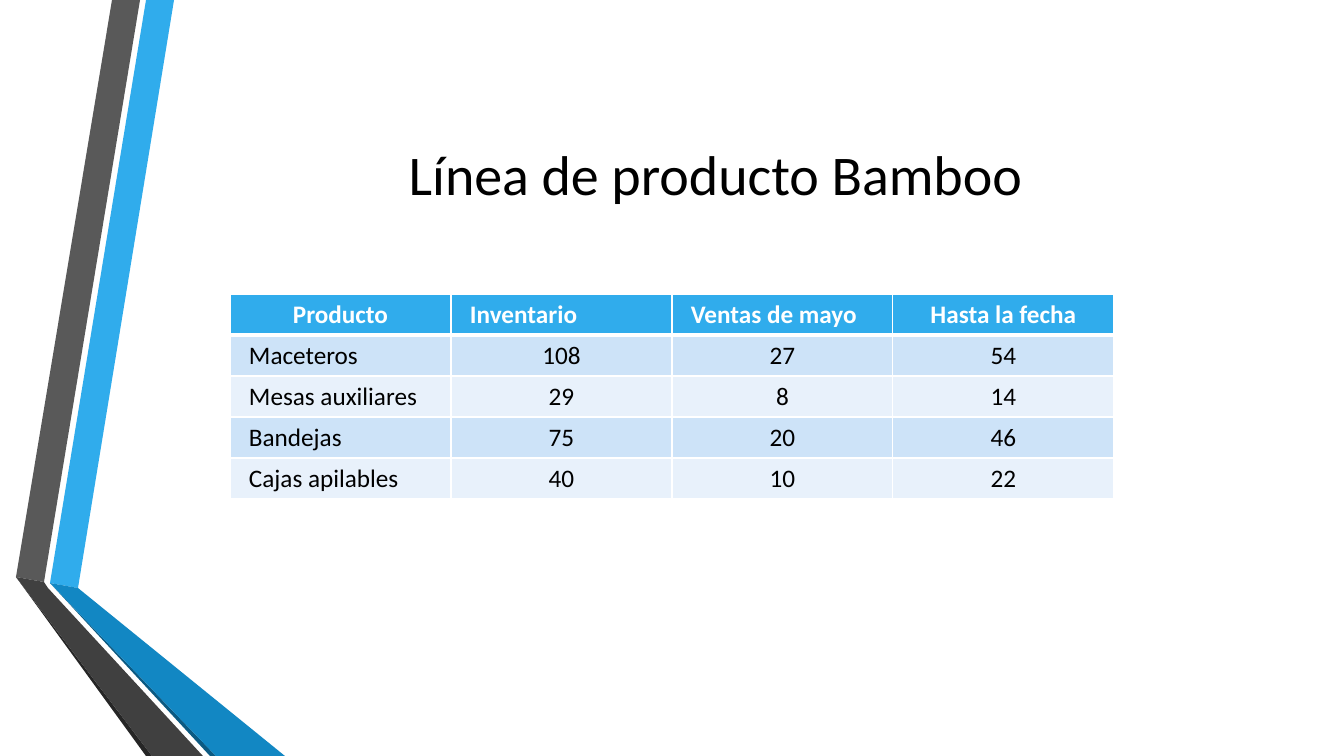
from lxml.etree import SubElement
from pptx import Presentation
from pptx.dml.color import RGBColor
from pptx.enum.text import MSO_ANCHOR, PP_ALIGN
from pptx.oxml.ns import qn
from pptx.util import Emu, Pt

TITLE = "Línea de producto Bamboo"
HEADER = ("Producto", "Inventario", "Ventas de mayo", "Hasta la fecha")
PRODUCTS = [
    ("Maceteros", 108, 27, 54),
    ("Mesas auxiliares", 29, 8, 14),
    ("Bandejas", 75, 20, 46),
    ("Cajas apilables", 40, 10, 22),
]
LEFT_ALIGNED_HEADERS = ("Inventario", "Ventas de mayo")

THEME = {
    "font": "Calibri", "title_size": 40, "table_size": 18,
    "text": "000000", "header_text": "FFFFFF", "header": "30ACEC",
    "bands": ("CDE3F8", "E8F1FB"), "rule": "FFFFFF",
    "blue": "30ACEC", "blue_fold": "1287C3", "blue_edge": "0C5A82",
    "grey": "595959", "grey_fold": "404040", "grey_edge": "262626",
}

# Ribbon pieces from back to front: theme colour and corners in px
RIBBONS = [
    ("blue", [(50, 583), (78, 588), (174, 0), (146, 0)]),
    ("grey", [(140, 0), (112, 0), (16, 577), (44, 582)]),
    ("grey_edge", [(16, 577), (146, 756), (152, 756)]),
    ("blue_edge", [(50, 583), (210, 756), (216, 756)]),
    ("blue_fold", [(50, 583), (216, 756), (285, 756), (78, 588)]),
    ("grey_fold", [(203, 756), (48, 588), (44, 582), (16, 577), (152, 756)]),
]

SLIDE_SIZE = (1344, 756)
TITLE_BOX = (163, 76, 1105, 194)
TABLE_LEFT, TABLE_TOP, COLUMN_WIDTH, ROW_HEIGHT = 230, 294, 221, 41
CELL_PAD_X, CELL_PAD_Y = 19, 5
THIN_RULE, HEADER_RULE = 1, 3
EMU_PER_PX = 914400 / 100.8


def px(length):
    return Emu(round(length * EMU_PER_PX))


def rgb(key):
    return RGBColor.from_string(THEME.get(key, key))


def style_text(frame, size, color, align, bold=False):
    frame.vertical_anchor = MSO_ANCHOR.MIDDLE
    paragraph = frame.paragraphs[0]
    paragraph.alignment = align
    for run in paragraph.runs:
        run.font.name = THEME["font"]
        run.font.size = Pt(THEME[size])
        run.font.bold = bold
        run.font.color.rgb = rgb(color)


def add_ribbon(slide, color, corners):
    builder = slide.shapes.build_freeform(*corners[0], scale=EMU_PER_PX)
    builder.add_line_segments(corners[1:], close=True)
    ribbon = builder.convert_to_shape()
    ribbon.shadow.inherit = False
    ribbon.fill.solid()
    ribbon.fill.fore_color.rgb = rgb(color)
    ribbon.line.fill.background()


def add_title(slide):
    title = slide.shapes.add_textbox(*map(px, TITLE_BOX)).text_frame
    title.word_wrap = True
    title.text = TITLE
    style_text(title, "title_size", "text", PP_ALIGN.CENTER)


def set_borders(cell, top, bottom):
    """Rule all four sides; must run before the cell's fill is set."""
    properties = cell._tc.get_or_add_tcPr()
    for side, width in zip("LRTB", (THIN_RULE, THIN_RULE, top, bottom)):
        line = SubElement(properties, qn(f"a:ln{side}"), w=str(Pt(width)))
        fill = SubElement(line, qn("a:solidFill"))
        SubElement(fill, qn("a:srgbClr"), val=THEME["rule"])


def fill_cell(cell, value, row, column):
    is_header = row == 0
    set_borders(cell, HEADER_RULE if row == 1 else THIN_RULE,
                HEADER_RULE if is_header else THIN_RULE)
    cell.fill.solid()
    cell.fill.fore_color.rgb = rgb("header" if is_header else THEME["bands"][(row - 1) % 2])
    cell.margin_left = cell.margin_right = px(CELL_PAD_X)
    cell.margin_top = cell.margin_bottom = px(CELL_PAD_Y)
    cell.vertical_anchor = MSO_ANCHOR.MIDDLE
    cell.text_frame.text = str(value)
    is_left = value in LEFT_ALIGNED_HEADERS if is_header else column == 0
    style_text(cell.text_frame, "table_size", "header_text" if is_header else "text",
               PP_ALIGN.LEFT if is_left else PP_ALIGN.CENTER, bold=is_header)


def add_product_table(slide):
    rows = [HEADER, *PRODUCTS]
    table = slide.shapes.add_table(
        len(rows), len(HEADER), px(TABLE_LEFT), px(TABLE_TOP),
        px(COLUMN_WIDTH * len(HEADER)), px(ROW_HEIGHT * len(rows))).table
    for column in table.columns:
        column.width = px(COLUMN_WIDTH)
    for r, values in enumerate(rows):
        table.rows[r].height = px(ROW_HEIGHT)
        for c, value in enumerate(values):
            fill_cell(table.cell(r, c), value, r, c)


def main():
    presentation = Presentation()
    presentation.slide_width, presentation.slide_height = map(px, SLIDE_SIZE)
    slide = presentation.slides.add_slide(presentation.slide_layouts[6])
    for color, corners in RIBBONS:
        add_ribbon(slide, color, corners)
    add_title(slide)
    add_product_table(slide)
    presentation.save("out.pptx")


if __name__ == "__main__":
    main()
